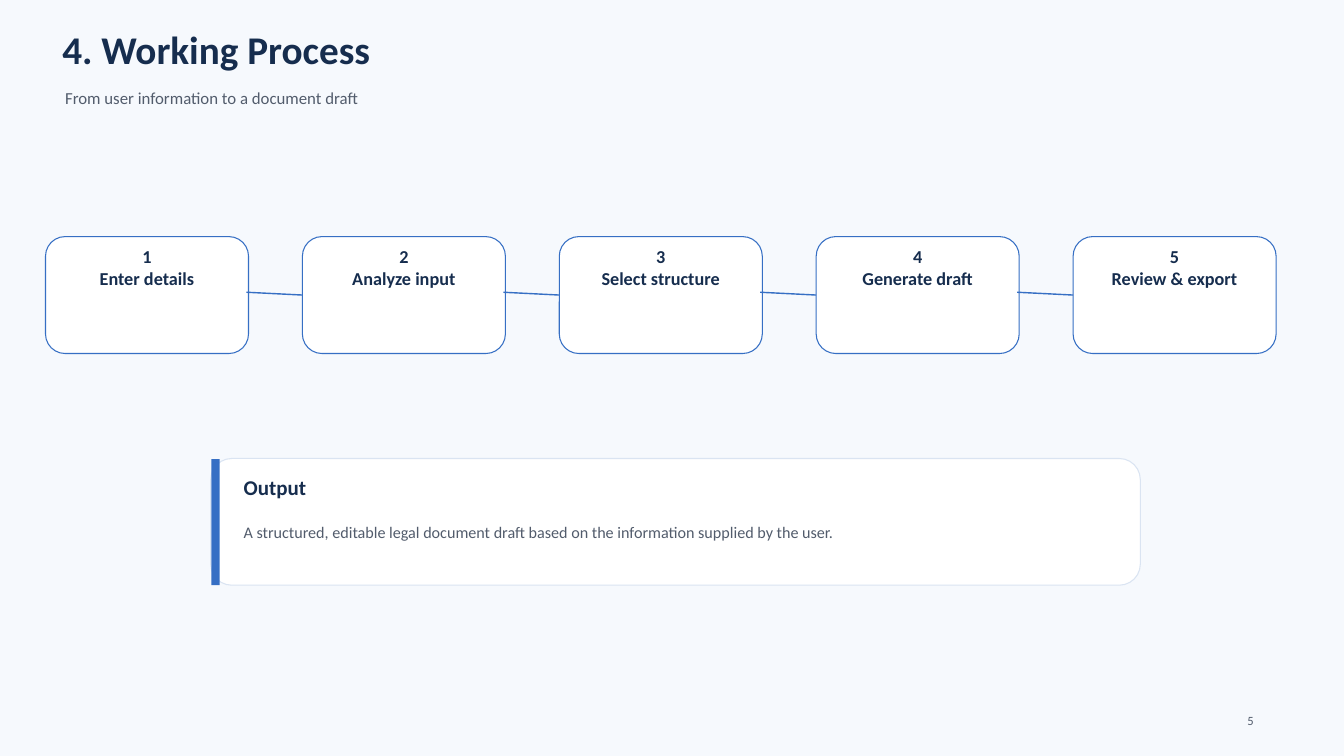
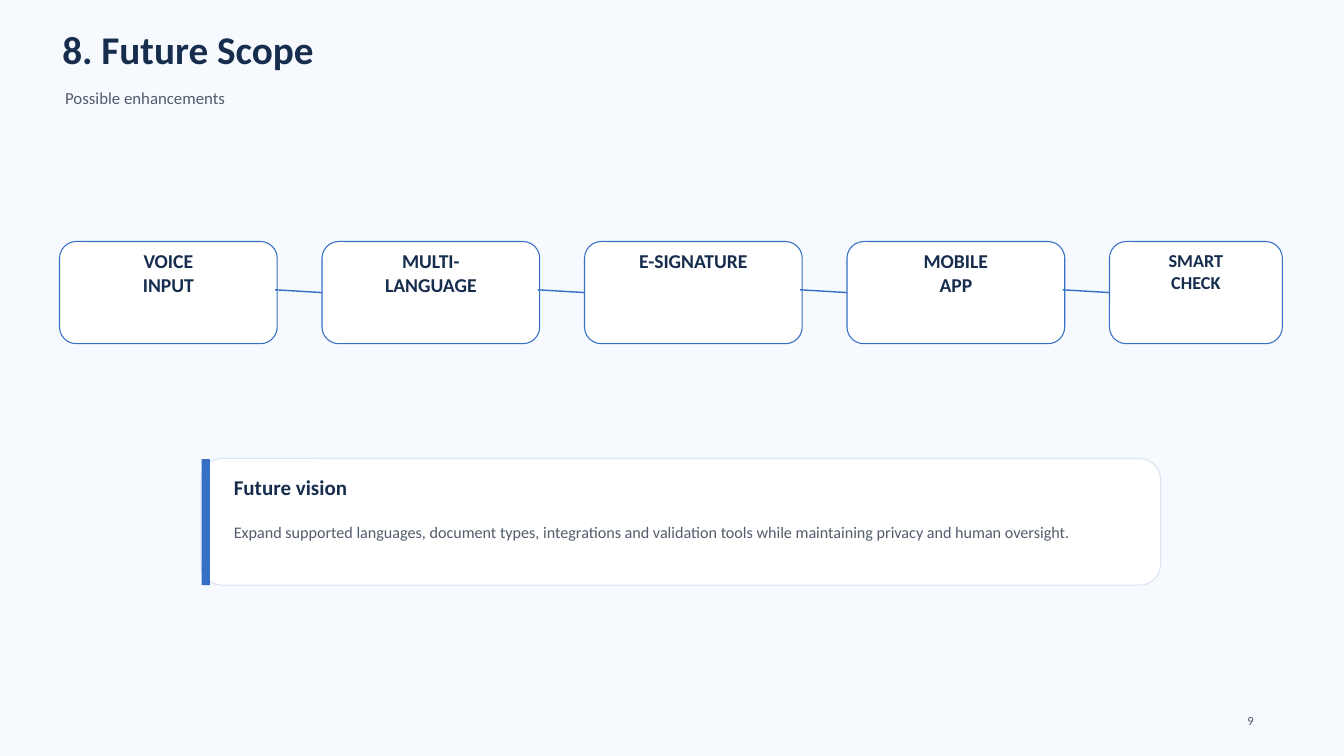
from pptx import Presentation
from pptx.dml.color import RGBColor
from pptx.enum.shapes import MSO_CONNECTOR, MSO_SHAPE
from pptx.enum.text import MSO_ANCHOR, PP_ALIGN
from pptx.oxml.xmlchemy import OxmlElement
from pptx.util import Emu, Pt

ROUNDED, RECTANGLE = MSO_SHAPE.ROUNDED_RECTANGLE, MSO_SHAPE.RECTANGLE
STRAIGHT = MSO_CONNECTOR.STRAIGHT
LEFT, CENTER, RIGHT = PP_ALIGN.LEFT, PP_ALIGN.CENTER, PP_ALIGN.RIGHT
TOP = MSO_ANCHOR.TOP
LEFT_SIDE = 1
PX = 9525  # 96 px to the inch


class Theme:
    font = "Calibri"
    background = RGBColor.from_string("F6F9FD")
    white = RGBColor.from_string("FFFFFF")
    blue = RGBColor.from_string("366FC4")
    pale = RGBColor.from_string("DAE4F2")
    navy = RGBColor.from_string("162D4E")
    gray = RGBColor.from_string("525C6C")
    outline, link = Pt(1.13), Pt(1.5)
    line_height = 1.2
    # Text styles: size, colour, bold, alignment
    title = (42, navy, True, LEFT)
    subtitle = (18, gray, False, LEFT)
    step = (19.5, navy, True, CENTER)
    big_step = (21, navy, True, CENTER)
    heading = (22.5, navy, True, LEFT)
    body = (17.25, gray, False, LEFT)
    number = (13.5, gray, False, RIGHT)


def write(frame, lines, style, margin_x=0, margin_y=0):
    size, color, bold, alignment = style
    frame.word_wrap = True
    frame.vertical_anchor = TOP
    frame.margin_left = frame.margin_right = Emu(margin_x * PX)
    frame.margin_top = frame.margin_bottom = Emu(margin_y * PX)
    for index, line in enumerate(lines):
        para = frame.add_paragraph() if index else frame.paragraphs[0]
        para.alignment = alignment
        para.line_spacing = Pt(size * Theme.line_height)
        span = para.add_run()
        span.text = line
        span.font.name = Theme.font
        span.font.size = Pt(size)
        span.font.bold = bold
        span.font.color.rgb = color


def add_block(page, kind, area, fill, line=None, radius=0):
    """Add a filled shape; area is left, top, width, height in px."""
    block = page.shapes.add_shape(kind, *(Emu(length * PX) for length in area))
    block.shadow.inherit = False
    block.fill.solid()
    block.fill.fore_color.rgb = fill
    if line is None:
        block.line.fill.background()
    else:
        block.line.color.rgb = line
        block.line.width = Theme.outline
    if radius:
        block.adjustments[0] = radius / min(area[2:])
    return block


# Steps: label lines, width, text style. Row: left, top, height, pitch, radius.
slides = [
    {
        "title": "4. Working Process",
        "subtitle": "From user information to a document draft",
        "number": "5",
        "row": (65, 338, 167, 367, 28),
        "steps": [
            (["1", "Enter details"], 290, Theme.step),
            (["2", "Analyze input"], 290, Theme.step),
            (["3", "Select structure"], 290, Theme.step),
            (["4", "Generate draft"], 290, Theme.step),
            (["5", "Review & export"], 290, Theme.step),
        ],
        "panel": (301, 1328),
        "heading": "Output",
        "body": "A structured, editable legal document draft based on the "
                "information supplied by the user.",
    },
    {
        "title": "8. Future Scope",
        "subtitle": "Possible enhancements",
        "number": "9",
        "row": (85, 345, 146, 375, 24),
        "steps": [
            (["VOICE", "INPUT"], 311, Theme.big_step),
            (["MULTI-", "LANGUAGE"], 311, Theme.big_step),
            (["E-SIGNATURE"], 311, Theme.big_step),
            (["MOBILE", "APP"], 311, Theme.big_step),
            (["SMART", "CHECK"], 247, Theme.step),
        ],
        "panel": (287, 1371),
        "heading": "Future vision",
        "body": "Expand supported languages, document types, integrations and "
                "validation tools while maintaining privacy and human oversight.",
    },
]

deck = Presentation()
deck.slide_width, deck.slide_height = Emu(1920 * PX), Emu(1080 * PX)
deck.slide_master.background.fill.solid()
deck.slide_master.background.fill.fore_color.rgb = Theme.background

for content in slides:
    page = deck.slides.add_slide(deck.slide_layouts[6])

    # Row of steps
    row_left, row_top, row_height, pitch, radius = content["row"]
    steps = []
    for index, (label, width, style) in enumerate(content["steps"]):
        area = (row_left + index * pitch, row_top, width, row_height)
        step = add_block(page, ROUNDED, area, Theme.white, Theme.blue, radius)
        write(step.text_frame, label, style, margin_x=14, margin_y=4)
        steps.append(step)

    # Links start just inside a step, slightly above its middle
    for step, following in zip(steps, steps[1:]):
        start_x = step.left + step.width - 3 * PX
        start_y = step.top + step.height // 2 - 4 * PX
        link = page.shapes.add_connector(STRAIGHT, start_x, start_y, start_x, start_y)
        link.end_connect(following, LEFT_SIDE)
        link.line.color.rgb = Theme.blue
        link.line.width = Theme.link
        link._element.spPr.append(OxmlElement("a:effectLst"))

    # Summary panel with accent bar
    panel_left, panel_width = content["panel"]
    add_block(page, ROUNDED, (panel_left, 655, panel_width, 181),
              Theme.white, Theme.pale, radius=30)
    add_block(page, RECTANGLE, (panel_left + 1, 656, 12, 180), Theme.blue)

    text_left, text_width = panel_left + 47, panel_width - 86
    for name, style, area in [
        ("title", Theme.title, (89, 36, 1263, 79)),
        ("subtitle", Theme.subtitle, (93, 125, 1393, 52)),
        ("heading", Theme.heading, (text_left, 678, text_width, 54)),
        ("body", Theme.body, (text_left, 746, text_width, 66)),
        ("number", Theme.number, (1724, 1018, 67, 22)),
    ]:
        box = page.shapes.add_textbox(*(Emu(length * PX) for length in area))
        write(box.text_frame, [content[name]], style)

deck.save("out.pptx")
